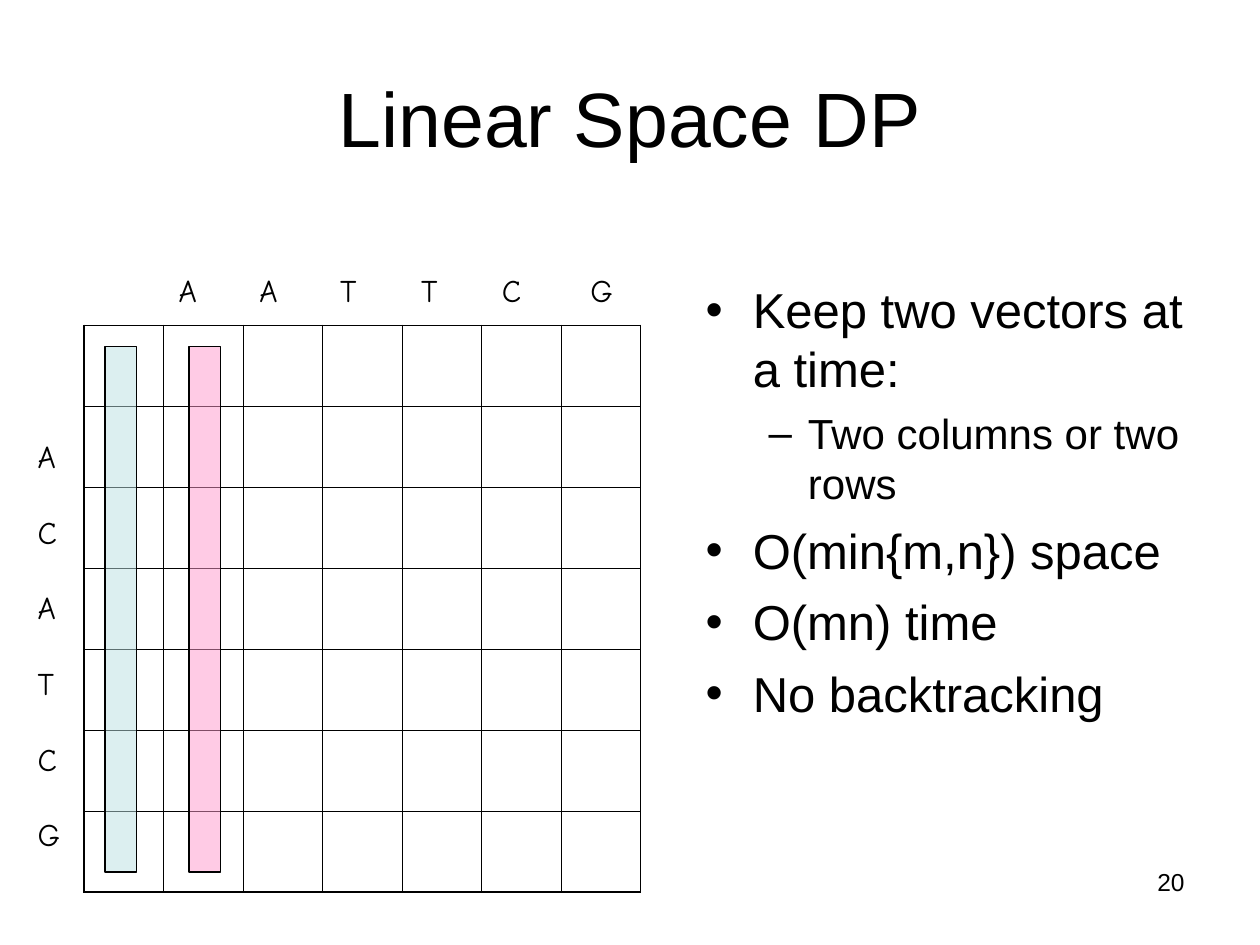
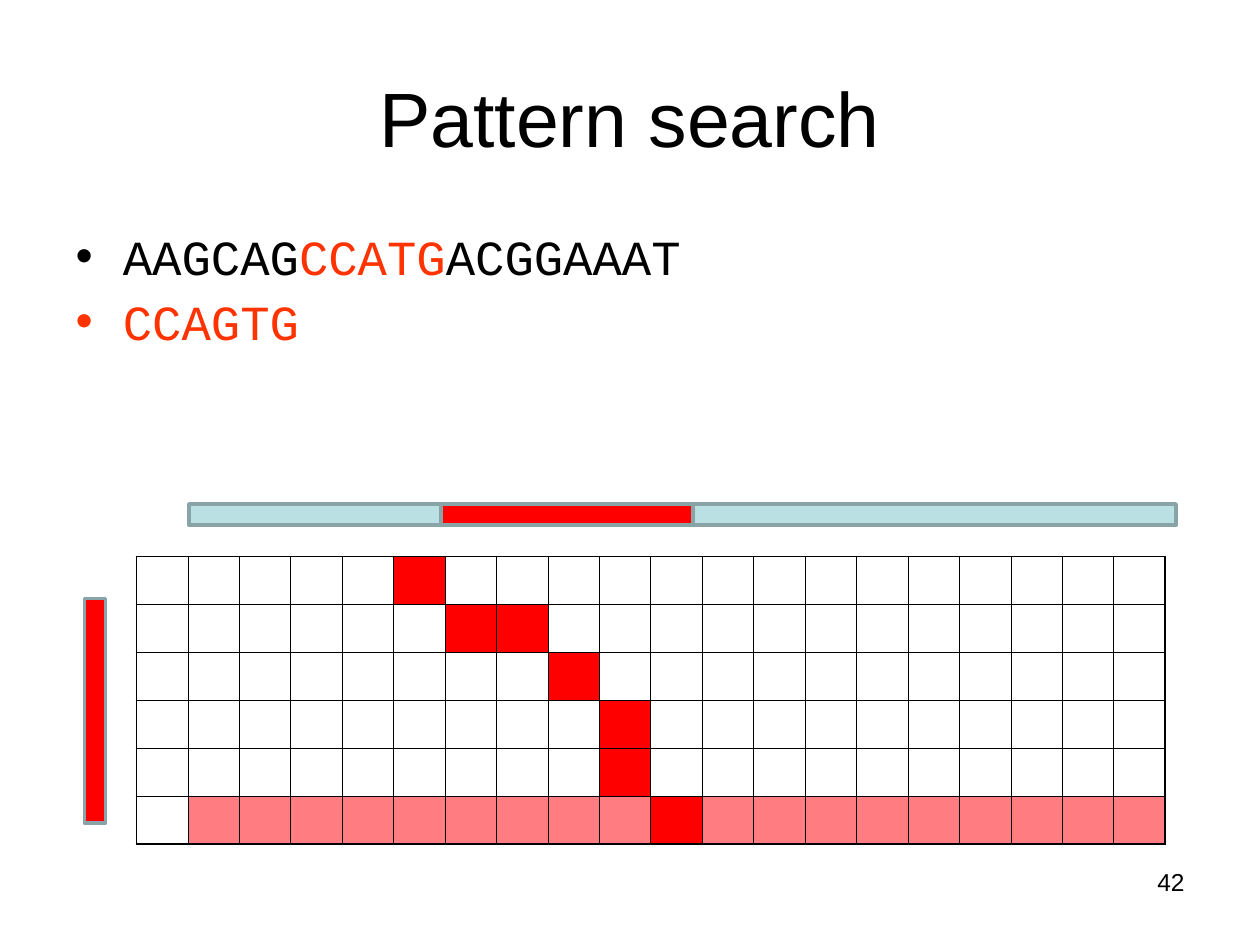
"""Build two slides on sequence alignment: linear space DP and pattern search."""
import dataclasses

import lxml.etree
import pptx
import pptx.dml.color
import pptx.enum.shapes
import pptx.enum.text
import pptx.oxml.ns
import pptx.presentation
import pptx.shapes.base
import pptx.slide
import pptx.table
import pptx.text.text
import pptx.util

Cm = pptx.util.Cm
Pt = pptx.util.Pt
Color = pptx.dml.color.RGBColor
qn = pptx.oxml.ns.qn

BLACK = Color(0, 0, 0)
RED = Color(0xFF, 0, 0)
ROSE = Color(0xFF, 0x7C, 0x80)
PINK = Color(0xFF, 0x99, 0xCC)
AQUA = Color(0xBB, 0xE0, 0xE3)
SLATE = Color(0x89, 0xA4, 0xA7)
FLAME = Color(0xFF, 0x33, 0)

SANS = "Arial"
HAND = "Comic Neue"
MONO = "Courier New"
THIN = Pt(0.45)
THICK = Pt(1.08)


@dataclasses.dataclass(frozen=True)
class Box:
    """A place on the slide, in centimetres."""
    left: float
    top: float
    width: float
    height: float

    def args(self) -> tuple[pptx.util.Length, ...]:
        """Return the four lengths in the order that shapes take them."""
        return Cm(self.left), Cm(self.top), Cm(self.width), Cm(self.height)


@dataclasses.dataclass(frozen=True)
class Bar:
    """A filled rectangle with an outline."""
    box: Box
    fill: Color
    line: Color
    weight: float
    alpha: int = 100


@dataclasses.dataclass(frozen=True)
class Item:
    """A list entry made of text and colour pairs."""
    spans: tuple[tuple[str, Color], ...]
    font: str = SANS
    level: int = 0
    size: float = 28
    pitch: float = 33.7
    gap: float = 7


@dataclasses.dataclass(frozen=True)
class Grid:
    """A table of empty cells, some of them filled."""
    box: Box
    rows: int
    cols: int
    fills: dict[tuple[int, int], Color]


TITLE = Box(1.27, 0.76, 22.86, 3.18)
NUMBER = Box(18.21, 17.35, 5.92, 1.32)

DP_GRID = Grid(Box(1.7, 6.56, 11.22, 11.43), 7, 7, {})
DP_BARS = [
    Bar(Box(left, 6.99, 0.64, 10.59), fill, BLACK, 0.75, 50)
    for left, fill in ((2.12, AQUA), (3.81, PINK))
]
DP_LIST = [
    Item((("Keep two vectors at a time:", BLACK),)),
    Item((("Two columns or two rows", BLACK),), level=1, size=24, pitch=28.6, gap=6),
    Item((("O(min{m,n}) space", BLACK),)),
    Item((("O(mn) time", BLACK),)),
    Item((("No backtracking", BLACK),)),
]

TRACE = ((0, 5), (1, 6), (1, 7), (2, 8), (3, 9), (4, 9), (5, 10))
SEARCH_GRID = Grid(
    Box(2.75, 11.22, 20.75, 5.8), 6, 20,
    {(5, col): ROSE for col in range(1, 20)} | {cell: RED for cell in TRACE},
)
SEARCH_BARS = [
    Bar(Box(3.81, 10.16, 19.9, 0.43), AQUA, SLATE, 2),
    Bar(Box(1.7, 12.07, 0.43, 4.52), RED, SLATE, 2),
    Bar(Box(8.89, 10.16, 5.08, 0.43), RED, SLATE, 2),
]
SEARCH_LIST = [
    Item((("AAGCAG", BLACK), ("CCATG", FLAME), ("ACGGAAAT", BLACK)), MONO, pitch=30.2),
    Item((("CCAGTG", FLAME),), MONO, pitch=30.2),
]


def style(para: pptx.text.text._Paragraph, font: str, size: float) -> None:
    """Format every run of a paragraph in black."""
    for run in para.runs:
        run.font.name = font
        run.font.size = Pt(size)
        run.font.color.rgb = BLACK


def move(shape: pptx.shapes.base.BaseShape, box: Box) -> None:
    """Put a shape in the given place."""
    shape.left, shape.top, shape.width, shape.height = box.args()


def add_text(slide: pptx.slide.Slide, box: Box, text: str, font: str,
             size: float) -> pptx.text.text.TextFrame:
    """Add a wrapped text box."""
    frame = slide.shapes.add_textbox(*box.args()).text_frame
    frame.word_wrap = True
    frame.text = text
    for para in frame.paragraphs:
        style(para, font, size)
    return frame


def add_tabs(para: pptx.text.text._Paragraph, stops: list[float]) -> None:
    """Give a paragraph left tab stops, in centimetres."""
    tabs = lxml.etree.SubElement(para._p.get_or_add_pPr(), qn("a:tabLst"))
    for stop in stops:
        lxml.etree.SubElement(tabs, qn("a:tab"), pos=str(Cm(stop)), algn="l")


def add_slide(deck: pptx.presentation.Presentation, title: str,
              number: str) -> pptx.slide.Slide:
    """Add a slide with its title and page number."""
    slide = deck.slides.add_slide(deck.slide_layouts[1])
    head = slide.shapes.title
    move(head, TITLE)
    head.text_frame.text = title
    style(head.text_frame.paragraphs[0], SANS, 44)
    page = add_text(slide, NUMBER, number, SANS, 14)
    page.paragraphs[0].alignment = pptx.enum.text.PP_ALIGN.RIGHT
    return slide


def add_list(slide: pptx.slide.Slide, box: Box, items: list[Item]) -> None:
    """Fill the body placeholder with a bullet list."""
    body = slide.placeholders[1]
    move(body, box)
    frame = body.text_frame
    frame.auto_size = pptx.enum.text.MSO_AUTO_SIZE.NONE
    for index, item in enumerate(items):
        para = frame.add_paragraph() if index else frame.paragraphs[0]
        para.level = item.level
        para.line_spacing = Pt(item.pitch)
        para.space_before = Pt(item.gap if index else 0)
        for text, _ in item.spans:
            para.add_run().text = text
        style(para, item.font, item.size)
        for run, (_, color) in zip(para.runs, item.spans):
            run.font.color.rgb = color


def add_bar(slide: pptx.slide.Slide, bar: Bar) -> None:
    """Add a rectangle, see-through where its alpha is below 100."""
    kind = pptx.enum.shapes.MSO_SHAPE.RECTANGLE
    shape = slide.shapes.add_shape(kind, *bar.box.args())
    shape.shadow.inherit = False
    shape.fill.solid()
    shape.fill.fore_color.rgb = bar.fill
    shape.line.color.rgb = bar.line
    shape.line.width = Pt(bar.weight)
    if bar.alpha < 100:
        tint = shape._element.spPr.find(qn("a:solidFill"))[0]
        lxml.etree.SubElement(tint, qn("a:alpha"), val=str(bar.alpha * 1000))


def add_edges(cell: pptx.table._Cell, widths: dict[str, int]) -> None:
    """Draw the borders of a cell, ahead of its fill."""
    props = cell._tc.get_or_add_tcPr()
    for place, (side, width) in enumerate(widths.items()):
        edge = lxml.etree.SubElement(props, qn(f"a:ln{side}"), w=str(width))
        fill = lxml.etree.SubElement(edge, qn("a:solidFill"))
        lxml.etree.SubElement(fill, qn("a:srgbClr"), val=str(BLACK))
        props.insert(place, edge)


def add_grid(slide: pptx.slide.Slide, grid: Grid) -> None:
    """Add a table with equal cells and a heavier outer border."""
    table = slide.shapes.add_table(grid.rows, grid.cols, *grid.box.args()).table
    table.first_row = table.horz_banding = False
    for line in table.columns:
        line.width = Cm(grid.box.width / grid.cols)
    for line in table.rows:
        line.height = Cm(grid.box.height / grid.rows)
    for row in range(grid.rows):
        for col in range(grid.cols):
            cell = table.cell(row, col)
            cell.margin_top = cell.margin_bottom = 0
            cell.margin_left = cell.margin_right = 0
            if (row, col) in grid.fills:
                cell.fill.solid()
                cell.fill.fore_color.rgb = grid.fills[row, col]
            else:
                cell.fill.background()
            outer = {"L": col == 0, "R": col == grid.cols - 1,
                     "T": row == 0, "B": row == grid.rows - 1}
            add_edges(cell, {side: THICK if out else THIN for side, out in outer.items()})


def add_bases(slide: pptx.slide.Slide) -> None:
    """Label the columns and rows of the DP grid with their letters."""
    top = add_text(slide, Box(3.35, 5.33, 9.96, 1.02), "\t".join("AATTCG"), HAND, 18)
    add_tabs(top.paragraphs[0], [1.63 * step for step in range(1, 5)] + [8.3])
    side = add_text(slide, Box(0.51, 8.69, 0.97, 8.64), "\n".join("ACATCG"), HAND, 18)
    for para in side.paragraphs[1:]:
        para.space_before = Pt(21.6)


def main() -> None:
    """Build and save the deck."""
    deck = pptx.Presentation()
    deck.slide_width, deck.slide_height = Cm(25.4), Cm(19.05)

    space = add_slide(deck, "Linear Space DP", "20")
    add_grid(space, DP_GRID)
    add_list(space, Box(13.97, 5.51, 10.37, 11.43), DP_LIST)
    add_bases(space)
    for bar in DP_BARS:
        add_bar(space, bar)

    search = add_slide(deck, "Pattern search", "42")
    add_list(search, Box(1.27, 4.55, 22.86, 2.97), SEARCH_LIST)
    add_grid(search, SEARCH_GRID)
    for bar in SEARCH_BARS:
        add_bar(search, bar)

    deck.save("out.pptx")


if __name__ == "__main__":
    main()
